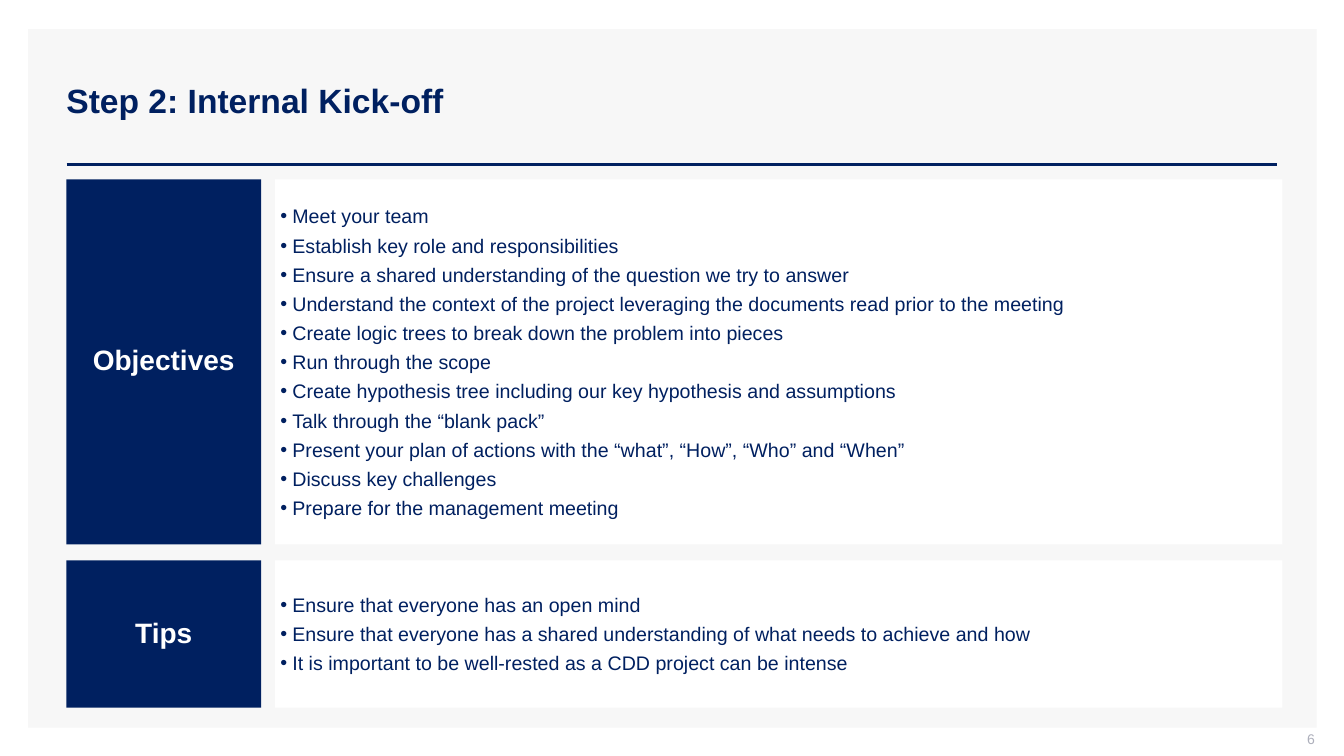
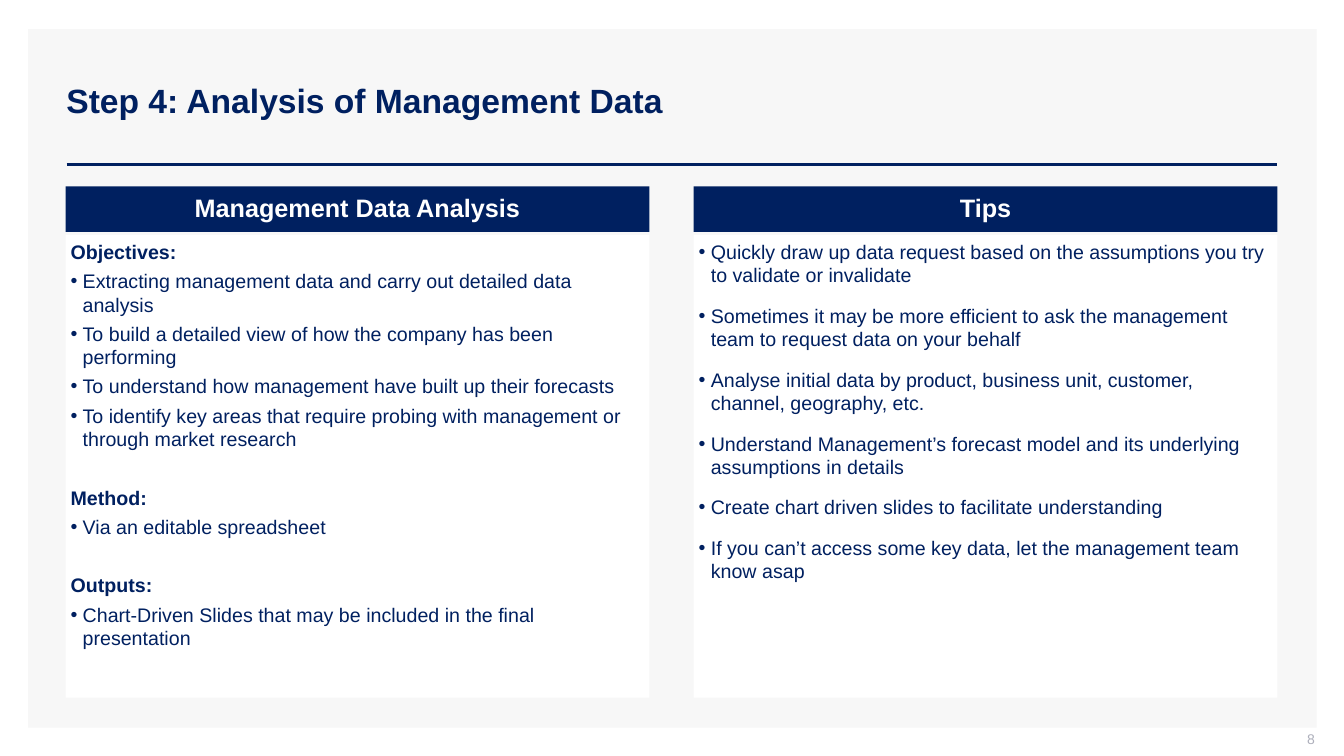
from dataclasses import dataclass

import lxml.etree
import pptx
import pptx.dml.color
import pptx.enum.shapes
import pptx.enum.text
import pptx.oxml.ns
import pptx.presentation
import pptx.shapes.autoshape
import pptx.slide
import pptx.text.text
import pptx.util

Inches = pptx.util.Inches
Pt = pptx.util.Pt
qn = pptx.oxml.ns.qn
Align = pptx.enum.text.PP_ALIGN
Anchor = pptx.enum.text.MSO_ANCHOR


@dataclass(frozen=True)
class Theme:
    font: str = "Arial"
    navy: str = "002060"
    white: str = "FFFFFF"
    pale: str = "F7F7F7"
    grey: str = "ADAFBB"
    title: int = 24
    label: int = 20
    header: int = 18
    body: int = 14
    footer: int = 10


@dataclass(frozen=True)
class Box:
    left: float
    top: float
    width: float
    height: float

    def lengths(self) -> tuple:
        return tuple(map(Inches, (self.left, self.top, self.width, self.height)))


@dataclass(frozen=True)
class Item:
    text: str
    head: bool = False


@dataclass(frozen=True)
class Block:
    label: str
    items: list[Item]
    gap: int = 2


@dataclass(frozen=True)
class Row:
    top: float
    height: float
    block: Block


THEME = Theme()
PAD = 0.05
INDENT = 0.12
HEAD_GAP = 23


def color(code: str) -> pptx.dml.color.RGBColor:
    return pptx.dml.color.RGBColor.from_string(code)


def style(para: pptx.text.text._Paragraph, size: int, tint: str,
          bold: bool = False) -> None:
    for run in para.runs:
        run.font.name = THEME.font
        run.font.size = Pt(size)
        run.font.bold = bold
        run.font.color.rgb = color(tint)


def inset(frame: pptx.text.text.TextFrame, left: float, top: float,
          right: float, bottom: float) -> None:
    frame.margin_left, frame.margin_top = Inches(left), Inches(top)
    frame.margin_right, frame.margin_bottom = Inches(right), Inches(bottom)


def add_rect(slide: pptx.slide.Slide, box: Box,
             fill: str) -> pptx.shapes.autoshape.Shape:
    kind = pptx.enum.shapes.MSO_SHAPE.RECTANGLE
    rect = slide.shapes.add_shape(kind, *box.lengths())
    rect.shadow.inherit = False
    rect.fill.solid()
    rect.fill.fore_color.rgb = color(fill)
    rect.line.fill.background()
    rect.text_frame.word_wrap = True
    inset(rect.text_frame, PAD, PAD, PAD, PAD)
    return rect


def add_text(slide: pptx.slide.Slide, box: Box, text: str, size: int,
             tint: str, bold: bool = False) -> pptx.text.text.TextFrame:
    frame = slide.shapes.add_textbox(*box.lengths()).text_frame
    frame.word_wrap = True
    frame.vertical_anchor = Anchor.MIDDLE
    frame.text = text
    style(frame.paragraphs[0], size, tint, bold)
    return frame


def add_label(slide: pptx.slide.Slide, box: Box, text: str, size: int) -> None:
    frame = add_rect(slide, box, THEME.navy).text_frame
    frame.vertical_anchor = Anchor.MIDDLE
    frame.text = text
    para = frame.paragraphs[0]
    para.alignment = Align.CENTER
    para.line_spacing = 0.9
    style(para, size, THEME.white, True)


def add_bullet(para: pptx.text.text._Paragraph) -> None:
    props = para._p.get_or_add_pPr()
    props.set("marL", str(Inches(INDENT)))
    props.set("indent", str(-Inches(INDENT)))
    lxml.etree.SubElement(props, qn("a:buFont")).set("typeface", THEME.font)
    lxml.etree.SubElement(props, qn("a:buChar")).set("char", "•")


def add_panel(slide: pptx.slide.Slide, box: Box, block: Block,
              anchor: pptx.enum.text.MSO_ANCHOR) -> None:
    frame = add_rect(slide, box, THEME.white).text_frame
    frame.vertical_anchor = anchor
    frame.text = "\n".join(item.text for item in block.items)
    for place, (para, item) in enumerate(zip(frame.paragraphs, block.items)):
        if not item.head:
            add_bullet(para)
        para.alignment = Align.LEFT
        if place:
            para.space_before = Pt(HEAD_GAP if item.head else block.gap)
        para.space_after = Pt(block.gap)
        style(para, THEME.body, THEME.navy, item.head)


def add_page(deck: pptx.presentation.Presentation, title: str,
             number: int) -> pptx.slide.Slide:
    slide = deck.slides.add_slide(deck.slide_layouts[6])
    add_rect(slide, Box(0.28, 0.29, 12.78, 6.93), THEME.pale)

    # Rule under the title
    kind = pptx.enum.shapes.MSO_CONNECTOR.STRAIGHT
    rule = slide.shapes.add_connector(
        kind, Inches(0.66), Inches(1.63), Inches(12.67), Inches(1.63))
    rule.line.color.rgb = color(THEME.navy)
    rule.line.width = Pt(2)
    lxml.etree.SubElement(rule._element.spPr, qn("a:effectLst"))

    # Title and page number
    add_text(slide, Box(0.56, 0.4, 12.11, 1.19), title,
             THEME.title, THEME.navy, True)
    footer = add_text(slide, Box(10.04, 7.25, 3, 0.21), str(number),
                      THEME.footer, THEME.grey)
    inset(footer, 0.1, 0, 0, 0.05)
    footer.paragraphs[0].alignment = Align.RIGHT
    return slide


def add_rows(slide: pptx.slide.Slide, rows: list[Row]) -> None:
    for row in rows:
        add_panel(slide, Box(2.73, row.top, 9.99, row.height),
                  row.block, Anchor.MIDDLE)
        add_label(slide, Box(0.66, row.top, 1.93, row.height),
                  row.block.label, THEME.label)


def add_columns(slide: pptx.slide.Slide, blocks: list[Block]) -> None:
    left, width, gap = 0.65, 5.79, 0.44
    for place, block in enumerate(blocks):
        start = left + place * (width + gap)
        add_label(slide, Box(start, 1.85, width, 0.45),
                  block.label, THEME.header)
        add_panel(slide, Box(start, 2.33, width, 4.59), block, Anchor.TOP)


# Slide content
KICKOFF = [
    Row(1.78, 3.62, Block("Objectives", [
        Item("Meet your team"),
        Item("Establish key role and responsibilities"),
        Item("Ensure a shared understanding of the question we try to answer"),
        Item("Understand the context of the project leveraging the documents "
             "read prior to the meeting"),
        Item("Create logic trees to break down the problem into pieces"),
        Item("Run through the scope"),
        Item("Create hypothesis tree including our key hypothesis and "
             "assumptions"),
        Item("Talk through the “blank pack”"),
        Item("Present your plan of actions with the “what”, “How”, “Who” and "
             "“When”"),
        Item("Discuss key challenges"),
        Item("Prepare for the management meeting"),
    ])),
    Row(5.56, 1.46, Block("Tips", [
        Item("Ensure that everyone has an open mind"),
        Item("Ensure that everyone has a shared understanding of what needs "
             "to achieve and how"),
        Item("It is important to be well-rested as a CDD project can be "
             "intense"),
    ])),
]

DATA = [
    Block("Management Data Analysis", [
        Item("Objectives:", head=True),
        Item("Extracting management data and carry out detailed data analysis"),
        Item("To build a detailed view of how the company has been performing"),
        Item("To understand how management have built up their forecasts"),
        Item("To identify key areas that require probing with management or "
             "through market research"),
        Item("Method:", head=True),
        Item("Via an editable spreadsheet"),
        Item("Outputs:", head=True),
        Item("Chart-Driven Slides that may be included in the final "
             "presentation"),
    ]),
    Block("Tips", [
        Item("Quickly draw up data request based on the assumptions you try "
             "to validate or invalidate"),
        Item("Sometimes it may be more efficient to ask the management team "
             "to request data on your behalf"),
        Item("Analyse initial data by product, business unit, customer, "
             "channel, geography, etc."),
        Item("Understand Management’s forecast model and its underlying "
             "assumptions in details"),
        Item("Create chart driven slides to facilitate understanding"),
        Item("If you can’t access some key data, let the management team "
             "know asap"),
    ], gap=6),
]


def main() -> None:
    deck = pptx.Presentation()
    deck.slide_width, deck.slide_height = Inches(13.33), Inches(7.5)
    add_rows(add_page(deck, "Step 2: Internal Kick-off", 6), KICKOFF)
    add_columns(add_page(deck, "Step 4: Analysis of Management Data", 8), DATA)
    deck.save("out.pptx")


if __name__ == "__main__":
    main()
